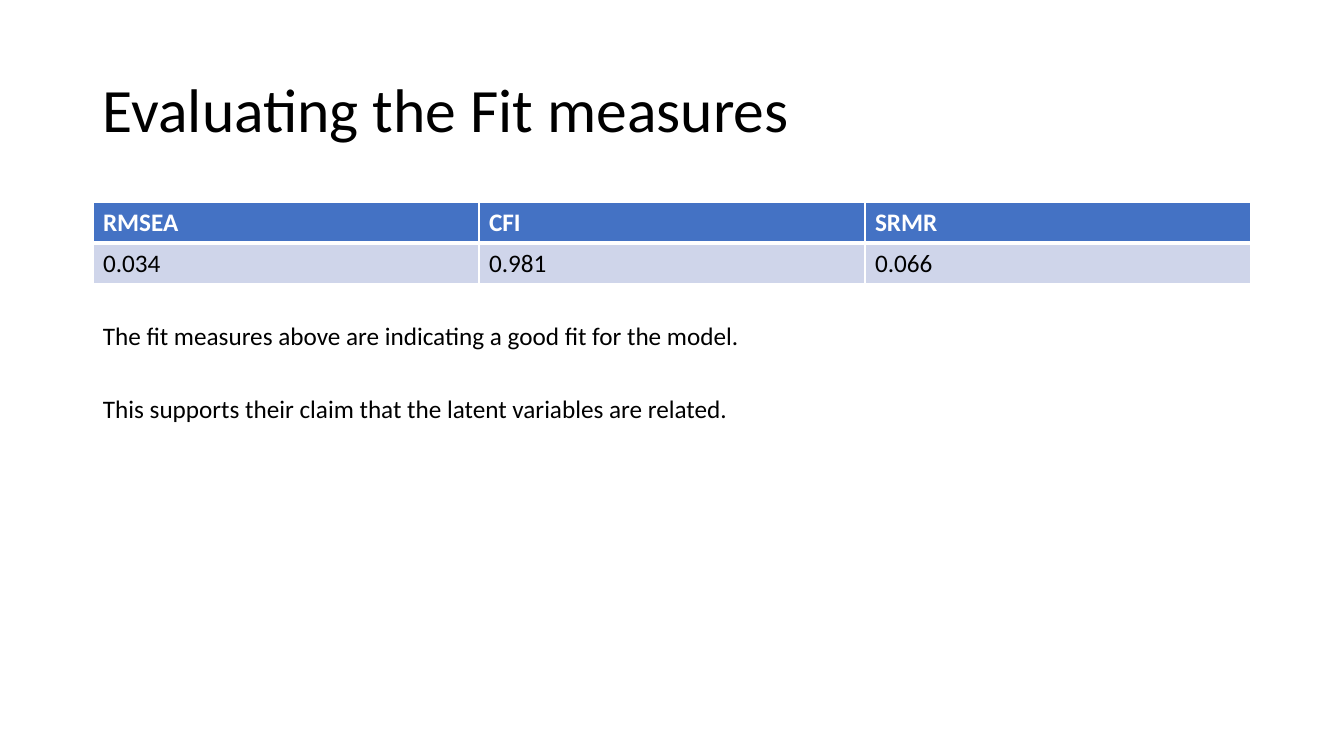
from lxml import etree
from pptx import Presentation
from pptx.dml.color import RGBColor
from pptx.enum.text import MSO_ANCHOR
from pptx.oxml.ns import qn
from pptx.util import Emu, Pt

MIDDLE, TOP = MSO_ANCHOR.MIDDLE, MSO_ANCHOR.TOP
BLACK = RGBColor(0x00, 0x00, 0x00)
WHITE = RGBColor(0xFF, 0xFF, 0xFF)
BLUE = RGBColor(0x44, 0x72, 0xC4)
PALE_BLUE = RGBColor(0xCF, 0xD5, 0xEA)
EMU_PER_PX = 914400 / 100.8
BLANK_LAYOUT = 6


def px(length):
    return Emu(round(length * EMU_PER_PX))


class SlideBuilder:
    font_name = "Calibri"
    body_size = 18

    def __init__(self, page):
        self.page = page

    def style(self, para, size, color=BLACK, bold=False):
        font = para.font
        font.name, font.size, font.bold = self.font_name, Pt(size), bold
        font.color.rgb = color

    def text(self, words, left, top, width, height,
             size=body_size, anchor=TOP, line_spacing=1.0):
        box = self.page.shapes.add_textbox(px(left), px(top), px(width), px(height))
        frame = box.text_frame
        frame.word_wrap = True
        frame.vertical_anchor = anchor
        para = frame.paragraphs[0]
        para.text = words
        para.line_spacing = line_spacing
        self.style(para, size)

    def border(self, cell, side, points):
        line = etree.SubElement(cell._tc.get_or_add_tcPr(), qn(f"a:ln{side}"),
                                w=str(Pt(points)))
        fill = etree.SubElement(line, qn("a:solidFill"))
        etree.SubElement(fill, qn("a:srgbClr"), val=str(WHITE))

    def table(self, rows, left, top, column_width, row_height):
        columns = len(rows[0])
        grid = self.page.shapes.add_table(
            len(rows), columns, px(left), px(top),
            px(column_width * columns), px(row_height * len(rows))).table
        for r, values in enumerate(rows):
            header = r == 0
            for c, value in enumerate(values):
                cell = grid.cell(r, c)
                cell.text = value
                self.style(cell.text_frame.paragraphs[0], self.body_size,
                           WHITE if header else BLACK, header)
                # Borders come before the fill in the cell's properties
                for side in "LRTB":
                    heavy = side == ("B" if header else "T")
                    self.border(cell, side, 3 if heavy else 1)
                cell.fill.solid()
                cell.fill.fore_color.rgb = BLUE if header else PALE_BLUE


def main():
    deck = Presentation()
    deck.slide_width, deck.slide_height = px(1344), px(756)
    page = deck.slides.add_slide(deck.slide_layouts[BLANK_LAYOUT])
    builder = SlideBuilder(page)

    # Title
    builder.text("Evaluating the Fit measures", 93, 40, 1159, 146,
                 size=44, anchor=MIDDLE, line_spacing=0.9)

    # Fit measures
    builder.table([["RMSEA", "CFI", "SRMR"], ["0.034", "0.981", "0.066"]],
                  93, 202, 386, 41)

    # Conclusions
    builder.text("The fit measures above are indicating a good fit for the model.",
                 93, 315, 689, 40)
    builder.text("This supports their claim that the latent variables are related.",
                 93, 388, 717, 40)

    deck.save("out.pptx")


if __name__ == "__main__":
    main()
